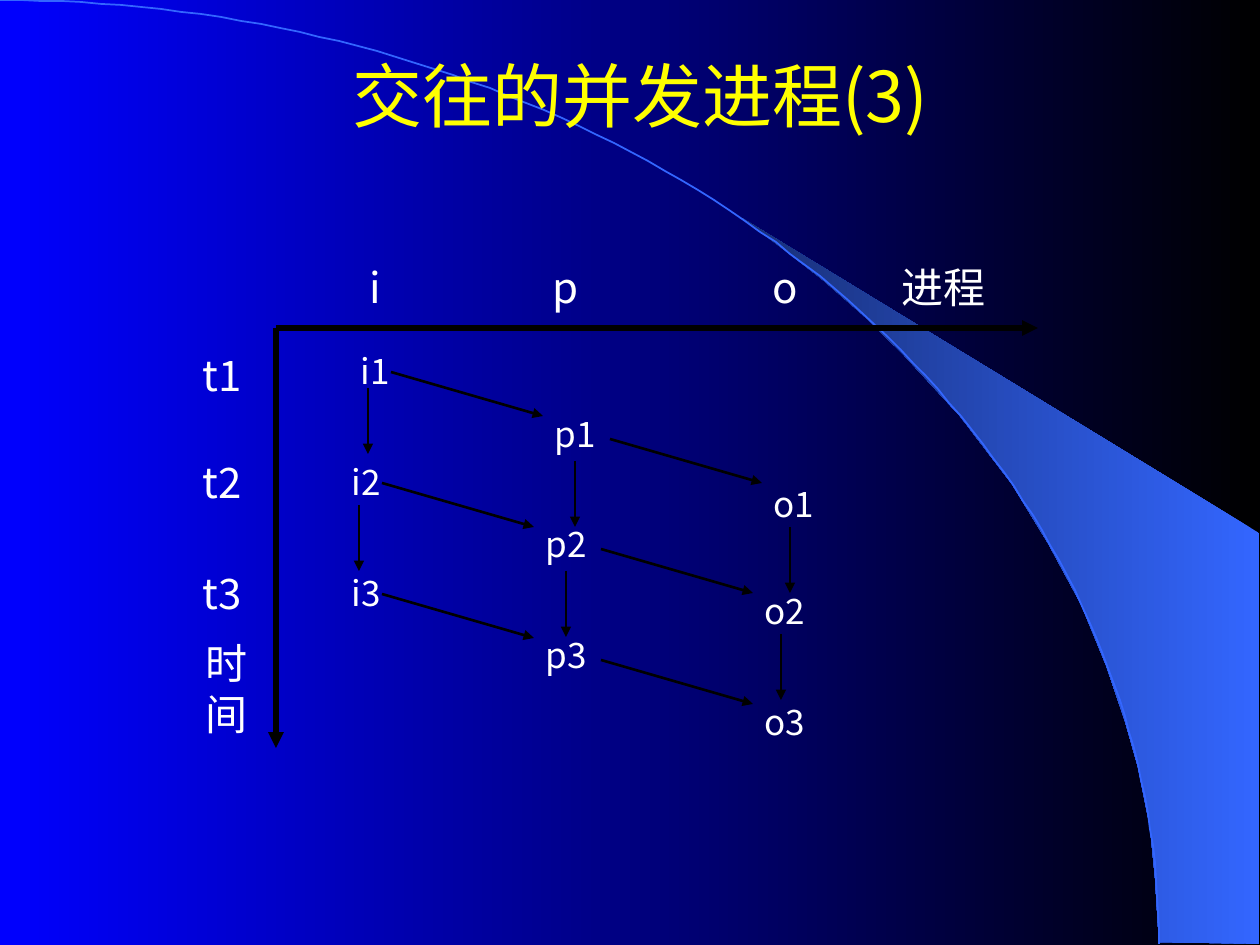
from itertools import pairwise
from math import cos, pi, sin

from lxml.etree import SubElement
from pptx import Presentation
from pptx.dml.color import RGBColor
from pptx.enum.shapes import MSO_CONNECTOR as CONNECTOR
from pptx.enum.text import MSO_ANCHOR as ANCHOR, MSO_AUTO_SIZE as AUTO_SIZE, PP_ALIGN as ALIGN
from pptx.oxml.ns import qn
from pptx.util import Emu, Pt

SCALE = 914400 / 126
FONT = "Noto Sans CJK SC"
COLORS = {
    "black": "000000",
    "blue": "0000FF",
    "sky": "3366FF",
    "navy": "182F76",
    "yellow": "FFFF00",
    "white": "FFFFFF",
}
BOTTOM = 2
LABEL_WIDTH, LABEL_HEIGHT = 46, 48


def px(value):
    return Emu(round(value * SCALE))


def color(name):
    return RGBColor.from_string(COLORS[name])


def write(box, text, size=24, ink="white", anchor=ANCHOR.TOP, inset=(0, 0)):
    frame = box.text_frame
    frame.word_wrap = True
    frame.auto_size = AUTO_SIZE.NONE
    frame.vertical_anchor = anchor
    frame.margin_left = frame.margin_right = px(inset[0])
    frame.margin_top = frame.margin_bottom = px(inset[1])
    para = frame.paragraphs[0]
    para.alignment = ALIGN.CENTER
    span = para.add_run()
    span.text = text
    span.font.size = Pt(size)
    span.font.name = FONT
    span.font.color.rgb = color(ink)
    SubElement(span.font._element, qn("a:ea"), typeface=FONT)


def blend(fill, first, last):
    """Fill with a gradient from first at the right to last at the left."""
    fill.gradient()
    fill.gradient_angle = 180
    for stop, name in zip(fill.gradient_stops, (first, last)):
        stop.color.rgb = color(name)


class Canvas:
    def __init__(self, deck):
        self.page = deck.slides.add_slide(deck.slide_layouts[5])
        self.shapes = self.page.shapes
        blend(self.page.background.fill, "black", "blue")

    def title(self, text, left, top, width, height):
        box = self.shapes.title
        box.left, box.top, box.width, box.height = map(px, (left, top, width, height))
        write(box, text, size=40, ink="yellow", anchor=ANCHOR.MIDDLE, inset=(13, 6))
        self.shapes._spTree.append(box._element)  # bring in front of the decoration

    def label(self, text, left, top, width=LABEL_WIDTH, height=LABEL_HEIGHT, **style):
        box = self.shapes.add_textbox(*map(px, (left, top, width, height)))
        write(box, text, **style)
        return box

    def outline(self, points, closed):
        builder = self.shapes.build_freeform(*points[0], scale=SCALE)
        builder.add_line_segments(points[1:], close=closed)
        shape = builder.convert_to_shape()
        shape.shadow.inherit = False
        return shape

    def arrow(self, start, end, width=1.5, source=None):
        """Draw an arrow, joined to the bottom of source if one is given."""
        line = self.shapes.add_connector(CONNECTOR.STRAIGHT, *map(px, (*start, *end)))
        if source is not None:
            line.begin_connect(source, BOTTOM)
        line.line.width = Pt(width)
        line.line.color.rgb = color("black")
        SubElement(line.line._get_or_add_ln(), qn("a:tailEnd"), type="triangle")
        SubElement(line._element.spPr, qn("a:effectLst"))


def draw_decoration(canvas):
    edge = [(1159, 942), (1259, 944), (1259, 533), (742, 218), (786, 251), (823, 280),
            (863, 315), (902, 353), (960, 416), (1012, 484), (1048, 543), (1081, 604),
            (1106, 665), (1125, 721), (1138, 767), (1150, 827), (1155, 877)]
    crescent = canvas.outline(edge, closed=True)
    blend(crescent.fill, "sky", "navy")
    crescent.line.fill.background()

    steps = 90
    angles = [pi / 2 * step / steps for step in range(steps + 1)]
    curve = [(round(1159 * sin(a)), round(944 * (1 - cos(a)))) for a in angles]
    arc = canvas.outline(curve, closed=False)
    arc.fill.background()
    arc.line.color.rgb = color("sky")
    arc.line.width = Pt(1)


def draw_axes(canvas):
    origin = (276, 328)
    canvas.arrow(origin, (1038, 328), width=3)
    canvas.arrow(origin, (276, 748), width=3)
    for name, left in (("i", 352), ("p", 543), ("o", 762)):
        canvas.label(name, left, 262)
    for name, top in (("t1", 350), ("t2", 457), ("t3", 568)):
        canvas.label(name, 199, top)
    canvas.label("进程", 886, 262, width=115)
    canvas.label("时间", 189, 638, width=76, height=88)


def draw_processes(canvas):
    # name, left, tops of the three steps, starts of the down arrows (x offset, y),
    # start of the arrow to the next process (offset from the step)
    processes = [
        ("i", 343, (350, 461, 572), (16, (388, 505)), (39, 22)),
        ("p", 543, (413, 523, 634), (23, (461, 571)), (58, 26)),
        ("o", 762, (483, 590, 701), (19, (527, 634)), None),
    ]
    for name, left, tops, (down_x, down_tops), across in processes:
        lefts = (left + 9, left, left)  # the first step sits slightly to the right
        boxes = []
        for number, (x, y) in enumerate(zip(lefts, tops), start=1):
            boxes.append(canvas.label(f"{name}{number}", x, y, size=20))
            if across:
                start_x, start_y = x + across[0], y + across[1]
                canvas.arrow((start_x, start_y), (start_x + 152, start_y + 44))
        for x, y, (box, _) in zip(lefts, down_tops, pairwise(boxes)):
            source = box if name == "p" else None
            canvas.arrow((x + down_x, y), (x + down_x, y + 66), source=source)


def main():
    deck = Presentation()
    deck.slide_width, deck.slide_height = px(1260), px(945)
    canvas = Canvas(deck)
    draw_decoration(canvas)
    canvas.title("交往的并发进程(3)", 105, 63, 1071, 63)
    draw_axes(canvas)
    draw_processes(canvas)
    deck.save("out.pptx")


if __name__ == "__main__":
    main()
